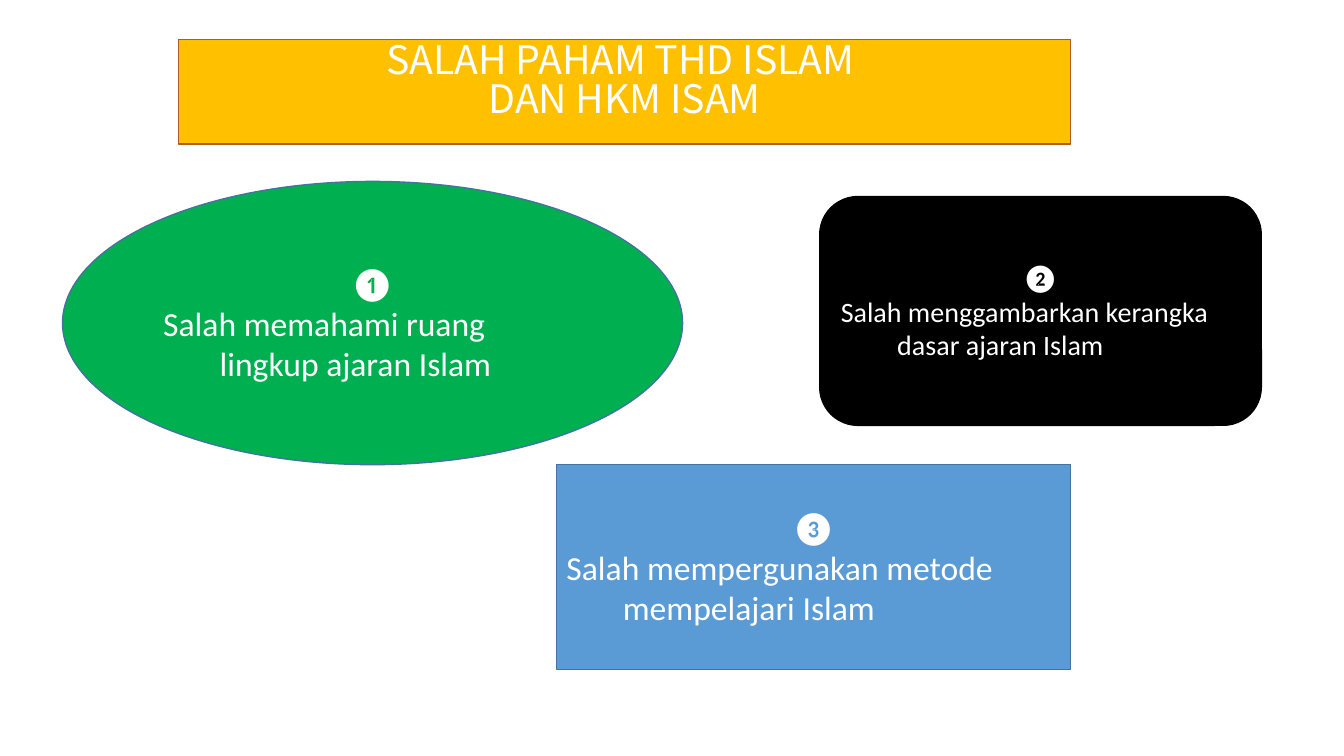
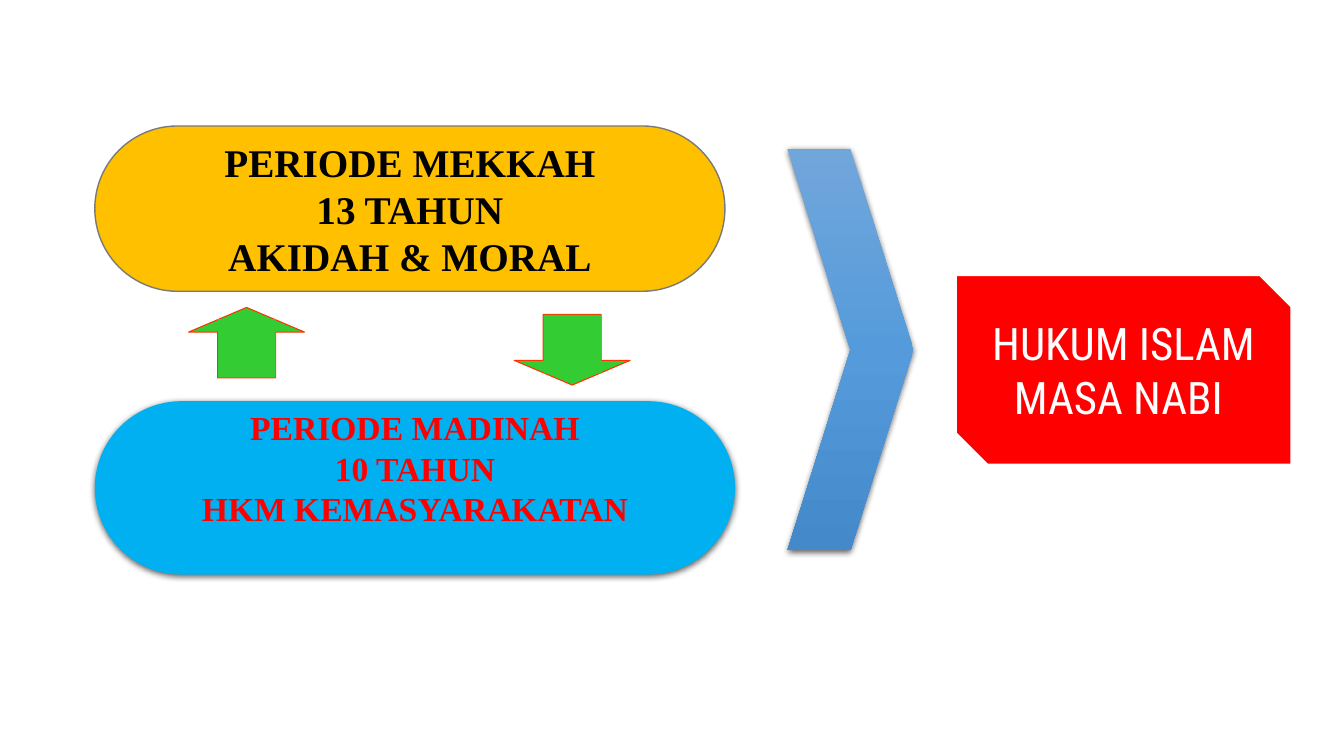
from dataclasses import dataclass
from typing import Optional

import pptx
import pptx.dml.color
import pptx.enum.shapes
import pptx.enum.text
import pptx.oxml
import pptx.oxml.ns
import pptx.util

Inches = pptx.util.Inches
Pt = pptx.util.Pt
RGBColor = pptx.dml.color.RGBColor
Kind = pptx.enum.shapes.MSO_SHAPE
Align = pptx.enum.text.PP_ALIGN
Anchor = pptx.enum.text.MSO_ANCHOR

WHITE = RGBColor(0xFF, 0xFF, 0xFF)
BLACK = RGBColor(0x00, 0x00, 0x00)
GOLD = RGBColor(0xFF, 0xC0, 0x00)
RUST = RGBColor(0xAF, 0x5C, 0x24)
GREEN = RGBColor(0x00, 0xB0, 0x50)
BLUE = RGBColor(0x5B, 0x9B, 0xD5)
NAVY = RGBColor(0x43, 0x73, 0x9E)
SKY = RGBColor(0x00, 0xB0, 0xF0)
RED = RGBColor(0xFF, 0x00, 0x00)
GRAY = RGBColor(0x7A, 0x7A, 0x7A)
LIME = RGBColor(0x33, 0xCC, 0x33)
FLAME = RGBColor(0xFF, 0x33, 0x00)
RAMP = ((0, "71A6DB"), (50, "559BDB"), (100, "448ACA"))
HANG = Inches(0.56)


@dataclass
class Box:
    kind: Kind
    at: tuple[float, float, float, float]
    fill: Optional[RGBColor] = None
    edge: Optional[RGBColor] = None
    width: float = 1
    text: str = ""
    size: int = 24
    font: str = "Calibri"
    ink: RGBColor = WHITE
    bold: bool = False
    hang: bool = False
    foot: float = 0.05
    adj: tuple[float, ...] = ()
    turn: float = 0
    glow: bool = False


def place(shape, at: tuple[float, float, float, float]) -> None:
    shape.left, shape.top, shape.width, shape.height = map(Inches, at)


def paint(shape, fill: RGBColor, edge: Optional[RGBColor], width: float) -> None:
    shape.fill.solid()
    shape.fill.fore_color.rgb = fill
    if edge is None:
        shape.line.fill.background()
    else:
        shape.line.color.rgb = edge
        shape.line.width = Pt(width)


def write(shape, box: Box) -> None:
    frame = shape.text_frame
    frame.text = box.text
    frame.word_wrap = True
    frame.vertical_anchor = Anchor.MIDDLE
    frame.margin_bottom = Inches(box.foot)
    for rank, para in enumerate(frame.paragraphs):
        para.alignment = Align.LEFT if box.hang and rank else Align.CENTER
        if box.hang:
            props = para._p.get_or_add_pPr()
            props.set("marL", str(HANG))
            props.set("indent", str(-HANG))
        for run in para.runs:
            run.font.size = Pt(box.size)
            run.font.name = box.font
            run.font.bold = box.bold
            run.font.color.rgb = box.ink


def cast(shape) -> None:
    space = pptx.oxml.ns.nsdecls("a")
    shade = pptx.oxml.parse_xml(
        f'<a:outerShdw {space} blurRad="{Pt(4.5)}" dist="{Pt(1.5)}" dir="5400000" '
        'algn="ctr" rotWithShape="0"><a:srgbClr val="000000">'
        '<a:alpha val="63000"/></a:srgbClr></a:outerShdw>')
    shape._element.spPr.find(pptx.oxml.ns.qn("a:effectLst")).append(shade)


def blend(shape) -> None:
    space = pptx.oxml.ns.nsdecls("a")
    stops = "".join(
        f'<a:gs pos="{pos * 1000}"><a:srgbClr val="{tint}"/></a:gs>' for pos, tint in RAMP)
    grad = pptx.oxml.parse_xml(
        f'<a:gradFill {space} rotWithShape="1"><a:gsLst>{stops}</a:gsLst>'
        '<a:lin ang="5400000" scaled="0"/></a:gradFill>')
    shape._element.spPr.insert(2, grad)
    shape.line.fill.background()


def draw(shapes, box: Box) -> None:
    shape = shapes.add_shape(box.kind, *map(Inches, box.at))
    shape.shadow.inherit = False
    shape.rotation = box.turn
    for rank, value in enumerate(box.adj):
        shape.adjustments[rank] = value
    if box.fill is None:
        blend(shape)
    else:
        paint(shape, box.fill, box.edge, box.width)
    if box.glow:
        cast(shape)
    if box.text:
        write(shape, box)


def arrow(slide, head: tuple[float, float], stem: tuple[float, float], turn: float) -> None:
    group = slide.shapes.add_group_shape()
    draw(group.shapes, Box(Kind.UP_ARROW, (*head, 1.15, 0.7), LIME, FLAME, 0.75,
                           adj=(0.5, 0.35), turn=turn))
    draw(group.shapes, Box(Kind.RECTANGLE, (*stem, 0.58, 0.57), LIME,
                           turn=(turn + 270) % 360))


def errors(deck) -> None:
    slide = deck.slides.add_slide(deck.slide_layouts[5])
    title = slide.shapes.title
    place(title, (1.77, 0.39, 8.85, 1.04))
    paint(title, GOLD, RUST, 1)
    write(title, Box(Kind.RECTANGLE, (0, 0, 0, 0), size=28, font="Noto Sans CJK KR",
                     text="SALAH PAHAM THD ISLAM \vDAN HKM ISAM"))
    title.text_frame.auto_size = pptx.enum.text.MSO_AUTO_SIZE.NONE
    title.text_frame.vertical_anchor = Anchor.TOP
    title.text_frame.paragraphs[0].line_spacing = 0.81
    for box in (
        Box(Kind.OVAL, (0.62, 1.8, 6.15, 2.81), GREEN, NAVY, hang=True,
            text="❶\nSalah memahami ruang lingkup ajaran Islam"),
        Box(Kind.ROUNDED_RECTANGLE, (8.13, 1.95, 4.38, 2.27), BLACK, BLACK, size=20,
            hang=True, text="❷\nSalah menggambarkan kerangka dasar ajaran Islam"),
        Box(Kind.RECTANGLE, (5.52, 4.61, 5.1, 2.03), BLUE, NAVY, hang=True,
            text="❸\nSalah mempergunakan metode mempelajari Islam"),
    ):
        draw(slide.shapes, box)


def eras(deck) -> None:
    slide = deck.slides.add_slide(deck.slide_layouts[6])
    arrow(slide, (5.1, 3.12), (5.39, 3.13), 180)
    arrow(slide, (1.87, 3.05), (2.16, 3.17), 0)
    for box in (
        Box(Kind.ROUNDED_RECTANGLE, (0.94, 1.25, 6.25, 1.64), GOLD, GRAY, size=28,
            font="Times New Roman", ink=BLACK, bold=True, adj=(0.5,),
            text="PERIODE MEKKAH\n13 TAHUN\nAKIDAH & MORAL"),
        Box(Kind.ROUNDED_RECTANGLE, (0.94, 3.98, 6.35, 1.72), SKY,
            font="Times New Roman", ink=RED, bold=True, adj=(0.5,), foot=0.45, glow=True,
            text="PERIODE MADINAH\n10 TAHUN\nHKM KEMASYARAKATAN"),
        Box(Kind.CHEVRON, (7.81, 1.48, 1.25, 3.98), glow=True),
        Box(Kind.SNIP_2_DIAG_RECTANGLE, (9.48, 2.73, 3.33, 1.88), RED, WHITE, 1.5, size=32,
            font="Roboto Condensed", text="HUKUM ISLAM MASA NABI "),
    ):
        draw(slide.shapes, box)


def main() -> None:
    deck = pptx.Presentation()
    deck.slide_width, deck.slide_height = Inches(13.33), Inches(7.5)
    errors(deck)
    eras(deck)
    deck.save("out.pptx")


if __name__ == "__main__":
    main()
